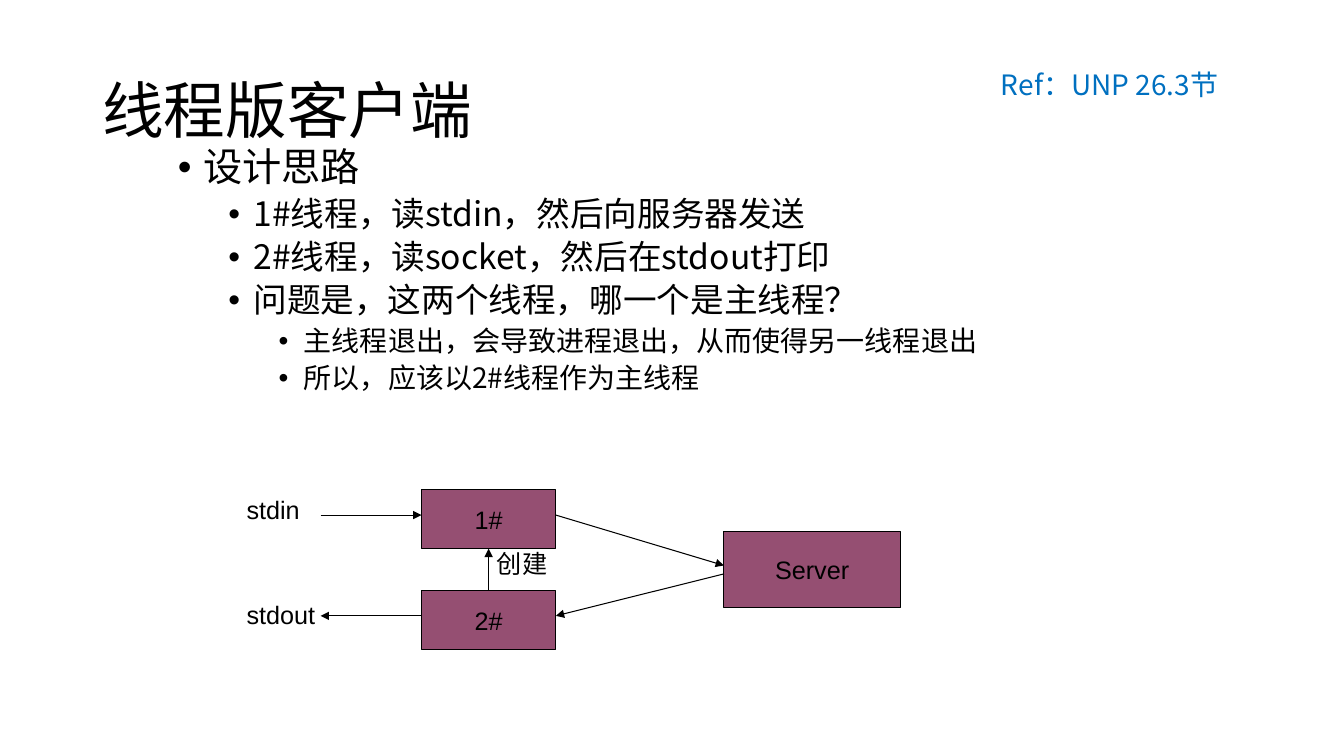
from lxml.etree import SubElement
from pptx import Presentation
from pptx.dml.color import RGBColor
from pptx.enum.shapes import MSO_CONNECTOR as Connector, MSO_SHAPE as Shape
from pptx.enum.text import MSO_ANCHOR as Anchor, MSO_AUTO_SIZE as AutoSize, PP_ALIGN as Align
from pptx.oxml.ns import qn
from pptx.util import Inches, Pt

BLACK = RGBColor(0x00, 0x00, 0x00)
BLUE = RGBColor(0x00, 0x70, 0xC0)
PLUM = RGBColor(0x95, 0x4F, 0x72)
LATIN = "Arial"
CJK = "Noto Sans CJK SC"

SLIDE_W, SLIDE_H = Inches(13.33), Inches(7.5)
CELL = Inches(1) / 12
DIAGRAM_LEFT, DIAGRAM_TOP = Inches(3.18), Inches(4.86)
THREAD_COL, THREAD_END, SERVER_COL = 12, 28, 48
READ_ROW, WRITE_ROW = 3, 15

LEVEL_SIZES = (28, 24, 20)
OUTLINE = (
    (0, "设计思路"),
    (1, "1#线程，读stdin，然后向服务器发送"),
    (1, "2#线程，读socket，然后在stdout打印"),
    (1, "问题是，这两个线程，哪一个是主线程？"),
    (2, "主线程退出，会导致进程退出，从而使得另一线程退出"),
    (2, "所以，应该以2#线程作为主线程"),
)
ARROWS = (
    ((0, READ_ROW), (THREAD_COL, READ_ROW)),
    ((THREAD_END, READ_ROW), (SERVER_COL, 9)),
    ((SERVER_COL, 10), (THREAD_END, WRITE_ROW)),
    ((THREAD_COL, WRITE_ROW), (0, WRITE_ROW)),
)


def share(left, top, width, height):
    return [int(part * side / 100) for part, side in
            zip((left, top, width, height), (SLIDE_W, SLIDE_H) * 2)]


def grid_point(col, row):
    return int(DIAGRAM_LEFT + col * CELL), int(DIAGRAM_TOP + row * CELL)


def grid_area(col, row, cols, rows):
    return *grid_point(col, row), int(cols * CELL), int(rows * CELL)


def style(paragraph, size, face=CJK, color=BLACK):
    font = paragraph.font
    font.size, font.name = Pt(size), face
    font.color.rgb = color
    defaults = paragraph._p.pPr.find(qn("a:defRPr"))
    SubElement(defaults, qn("a:ea")).set("typeface", CJK)


def indent(paragraph, margin, first=0.0):
    properties = paragraph._p.get_or_add_pPr()
    properties.set("marL", str(Inches(margin)))
    properties.set("indent", str(Inches(first)))
    return properties


def add_text(slide, area, text, size, face=CJK, color=BLACK, wrap=True):
    frame = slide.shapes.add_textbox(*area).text_frame
    frame.word_wrap = wrap
    frame.text = text
    style(frame.paragraphs[0], size, face, color)
    return frame


def add_outline(slide, area):
    frame = slide.shapes.add_textbox(*area).text_frame
    frame.word_wrap = True
    for index, (level, text) in enumerate(OUTLINE):
        item = frame.add_paragraph() if index else frame.paragraphs[0]
        item.text = text
        item.level = level
        item.line_spacing = 0.9
        item.space_before = Pt(5 if index else 0)
        properties = indent(item, 0.25 + 0.5 * level, -0.25)
        SubElement(properties, qn("a:buFont")).set("typeface", LATIN)
        SubElement(properties, qn("a:buChar")).set("char", "•")
        style(item, LEVEL_SIZES[level])


def add_node(slide, area, text):
    node = slide.shapes.add_shape(Shape.RECTANGLE, *area)
    node.shadow.inherit = False
    node.fill.solid()
    node.fill.fore_color.rgb = PLUM
    node.line.color.rgb = BLACK
    node.line.width = Pt(0.75)
    frame = node.text_frame
    frame.word_wrap = False
    frame.vertical_anchor = Anchor.MIDDLE
    frame.text = text
    frame.paragraphs[0].alignment = Align.CENTER
    style(frame.paragraphs[0], 18, LATIN)
    return node


def add_label(slide, area, text):
    frame = add_text(slide, area, text, 18, LATIN, wrap=False)
    frame.auto_size = AutoSize.SHAPE_TO_FIT_TEXT


def add_arrow(slide, start, end):
    arrow = slide.shapes.add_connector(
        Connector.STRAIGHT, *grid_point(*start), *grid_point(*end))
    arrow.line.color.rgb = BLACK
    arrow.line.width = Pt(0.75)
    SubElement(arrow.line._get_or_add_ln(), qn("a:tailEnd")).set("type", "triangle")
    SubElement(arrow._element.spPr, qn("a:effectLst"))
    return arrow


def add_diagram(slide):
    reader = add_node(slide, grid_area(THREAD_COL, 0, 16, 7), "1#")
    writer = add_node(slide, grid_area(THREAD_COL, 12, 16, 7), "2#")
    add_node(slide, grid_area(SERVER_COL, 5, 21, 9), "Server")
    for start, end in ARROWS:
        add_arrow(slide, start, end)
    creation = add_arrow(slide, (20, 12), (20, 7))
    creation.begin_connect(writer, 0)
    creation.end_connect(reader, 2)
    add_label(slide, grid_area(-10, 0, 9, 4.8), "stdin")
    add_label(slide, grid_area(-10, 12.5, 11, 4.8), "stdout")
    add_label(slide, grid_area(19.8, 6.4, 8.5, 4.8), "创建")


def main():
    deck = Presentation()
    deck.slide_width, deck.slide_height = SLIDE_W, SLIDE_H
    slide = deck.slides.add_slide(deck.slide_layouts[6])
    title = add_text(slide, share(6.88, 5.33, 86.25, 19.33), "线程版客户端", 44)
    title.vertical_anchor = Anchor.MIDDLE
    title.paragraphs[0].line_spacing = 0.9
    add_outline(slide, share(12.5, 18.93, 65, 41.07))
    add_diagram(slide)
    reference = add_text(slide, share(66.24, 8.27, 29.86, 5.87),
                         "Ref：UNP 26.3节", 20, color=BLUE)
    reference.auto_size = AutoSize.SHAPE_TO_FIT_TEXT
    indent(reference.paragraphs[0], 1)
    deck.save("out.pptx")


if __name__ == "__main__":
    main()
